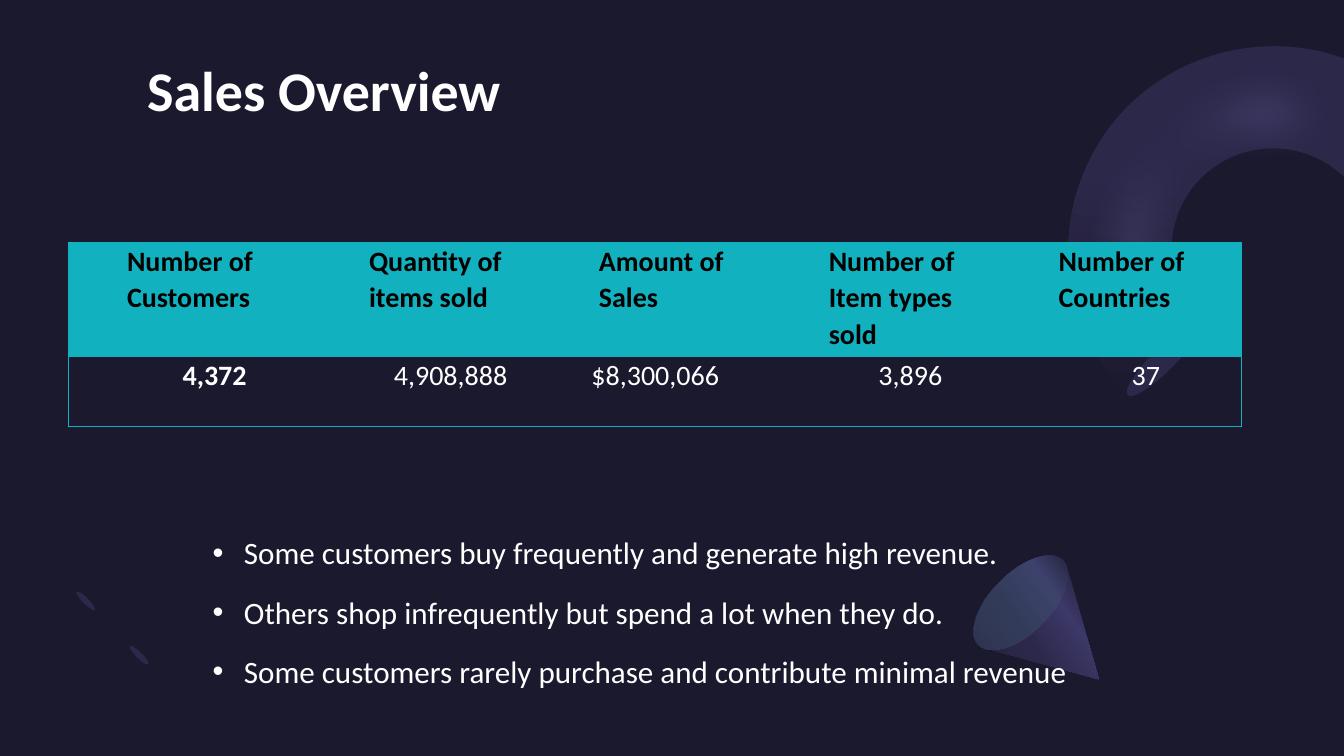
from math import cos, radians, sin

from pptx import Presentation
from pptx.dml.color import RGBColor
from pptx.enum.shapes import MSO_SHAPE
from pptx.enum.text import MSO_ANCHOR, PP_ALIGN
from pptx.oxml import parse_xml
from pptx.oxml.ns import nsdecls
from pptx.util import Inches, Pt

OVAL = MSO_SHAPE.OVAL
TOP = MSO_ANCHOR.TOP
LEFT, CENTER = PP_ALIGN.LEFT, PP_ALIGN.CENTER
NIGHT, PLUM, LILAC, TEAL = "1B192E", "2C284A", "7771B2", "12B1BF"
WHITE, BLACK = "FFFFFF", "000000"


def color_xml(color, alpha=100):
    return f'<a:srgbClr val="{color}"><a:alpha val="{alpha * 1000}"/></a:srgbClr>'


def add_run(paragraph, text, size, color, bold=False):
    run = paragraph.add_run()
    run.text = text
    run.font.name = "Calibri"
    run.font.size = Pt(size)
    run.font.bold = bold
    run.font.color.rgb = RGBColor.from_string(color)


prs = Presentation()
prs.slide_width, prs.slide_height = Inches(13.33), Inches(7.5)
slide = prs.slides.add_slide(prs.slide_layouts[6])
slide.background.fill.solid()
slide.background.fill.fore_color.rgb = RGBColor.from_string(NIGHT)

# Outlines on the slide: two numbers are a line end, six are a cubic curve
ring = [(11.19, 3.92), (10.4, 3.13, 10.4, 1.84, 11.19, 1.05),
        (11.74, 0.51, 12.52, 0.34, 13.21, 0.54), (13.33, 0.58), (13.33, 1.75),
        (13.19, 1.64), (12.79, 1.38, 12.26, 1.42, 11.91, 1.77),
        (11.52, 2.16, 11.52, 2.8, 11.91, 3.2)]
ring_glow = [(11.44, 4.18), (10.51, 3.26, 10.4, 1.87, 11.19, 1.07),
             (11.69, 0.58, 12.42, 0.44, 13.12, 0.62), (13.32, 0.69), (13.32, 1.82),
             (13.3, 1.82), (12.87, 1.57, 12.35, 1.59, 12.03, 1.91),
             (11.64, 2.31, 11.69, 3, 12.15, 3.47)]
cone = [(10.9, 6.74), (9.77, 6.43), (9.76, 6.43), (9.74, 6.42, 9.73, 6.41, 9.71, 6.39),
        (9.6, 6.28, 9.69, 6, 9.92, 5.77), (10.15, 5.54, 10.43, 5.44, 10.55, 5.56),
        (10.56, 5.57, 10.57, 5.59, 10.58, 5.61), (10.58, 5.62), (10.9, 6.74)]
small_arc = [(0.76, 6.59), (0.56, 6.39, 0.56, 6.07, 0.76, 5.87), (0.94, 6.05),
             (0.84, 6.15, 0.84, 6.31, 0.94, 6.41), (1.03, 6.51, 1.2, 6.51, 1.29, 6.41),
             (1.47, 6.59), (1.28, 6.79, 0.95, 6.79, 0.76, 6.59)]
small_glow = [(0.76, 6.59), (0.56, 6.39, 0.58, 6.05, 0.81, 5.82), (0.99, 6),
              (0.87, 6.11, 0.86, 6.29, 0.96, 6.38), (1.06, 6.48, 1.23, 6.47, 1.35, 6.36),
              (1.52, 6.54), (1.3, 6.76, 0.95, 6.79, 0.76, 6.59)]

# Decorations: outline, box, rotation, (stop, colour, opacity), angle, soft edge
plum = [(0, PLUM, 100)]
decorations = [
    (ring, (9.91, 0.82, 3.87, 2.03), 315, [(50, PLUM, 100), (97, NIGHT, 100)], 145, 0),
    (ring_glow, (10.04, 0.82, 3.8, 2.37), 315, [(0, LILAC, 40)], 0, 0.42),
    (None, (11.43, 3.05, 0.23, 1.02), 225, plum, 0, 0),
    (cone, (9.82, 5.57, 1.18, 1.38), 135,
     [(30, PLUM, 100), (40, "3C3867", 100), (60, PLUM, 100), (100, NIGHT, 100)], 10, 0),
    (None, (9.83, 5.39, 0.59, 1.18), 225, [(0, "454075", 33), (100, "5BEFC1", 0)], 90, 0),
    (small_arc, (0.43, 6.16, 1.01, 0.51), 45, [(0, NIGHT, 100)], 0, 0),
    (None, (1.35, 6.37, 0.06, 0.26), 135, plum, 0, 0),
    (None, (0.82, 5.83, 0.06, 0.26), 135, plum, 0, 0),
    (small_glow, (0.45, 6.09, 1.01, 0.58), 45, [(0, LILAC, 20)], 0, 0.12),
]
for outline, box, rotation, stops, angle, soft_edge in decorations:
    left, top, width, height = box
    if outline:
        # Turn the outline back into the upright box, then draw its curves
        turn_cos, turn_sin = cos(radians(rotation)), sin(radians(rotation))
        segments = []
        for segment in outline:
            segments.append([])
            for x, y in zip(segment[::2], segment[1::2]):
                dx, dy = x - left - width / 2, y - top - height / 2
                segments[-1].append((Inches(width / 2 + dx * turn_cos + dy * turn_sin),
                                     Inches(height / 2 - dx * turn_sin + dy * turn_cos)))
        builder = slide.shapes.build_freeform(*segments[0][0])
        builder.add_line_segments([segment[-1] for segment in segments[1:]])
        decoration = builder.convert_to_shape()
        decoration.left, decoration.top = Inches(left), Inches(top)
        decoration.width, decoration.height = Inches(width), Inches(height)
        steps = ""
        for number, segment in enumerate(segments):
            tag = "cubicBezTo" if len(segment) == 3 else "lnTo" if number else "moveTo"
            marks = "".join(f'<a:pt x="{x}" y="{y}"/>' for x, y in segment)
            steps += f"<a:{tag}>{marks}</a:{tag}>"
        drawn = decoration._element.spPr.find(".//{*}path")
        drawn.getparent().replace(drawn, parse_xml(
            f'<a:path {nsdecls("a")} w="{Inches(width)}" h="{Inches(height)}">'
            f'{steps}<a:close/></a:path>'))
    else:
        decoration = slide.shapes.add_shape(OVAL, *map(Inches, box))
    decoration.rotation = rotation
    decoration.line.fill.background()
    decoration.shadow.inherit = False
    decoration.fill.solid()
    if len(stops) == 1:
        fill = f'<a:solidFill {nsdecls("a")}>{color_xml(*stops[0][1:])}</a:solidFill>'
    else:
        marks = "".join(f'<a:gs pos="{pos * 1000}">{color_xml(color, alpha)}</a:gs>'
                        for pos, color, alpha in stops)
        fill = (f'<a:gradFill {nsdecls("a")} rotWithShape="1"><a:gsLst>{marks}</a:gsLst>'
                f'<a:lin ang="{angle * 60000}" scaled="0"/></a:gradFill>')
    properties = decoration._element.spPr
    properties.replace(properties.find("./{*}solidFill"), parse_xml(fill))
    if soft_edge:
        properties.find("./{*}effectLst").append(
            parse_xml(f'<a:softEdge {nsdecls("a")} rad="{Inches(soft_edge)}"/>'))

# Title and findings
title_lines = ["Sales Overview"]
findings = ["Some customers buy frequently and generate high revenue.",
            "Others shop infrequently but spend a lot when they do.",
            "Some customers rarely purchase and contribute minimal revenue"]
for box, lines, size, bold, spacing, bulleted in [
        ((1.46, 0.63, 9.7, 0.99), title_lines, 40, True, 0.9, False),
        ((1.61, 5.26, 9.55, 1.82), findings, 22.2, False, 1.1, True)]:
    frame = slide.shapes.add_textbox(*map(Inches, box)).text_frame
    frame.word_wrap = True
    frame.vertical_anchor = TOP
    frame.margin_left = frame.margin_right = frame.margin_top = frame.margin_bottom = 0
    for number, line in enumerate(lines):
        paragraph = frame.add_paragraph() if number else frame.paragraphs[0]
        paragraph.line_spacing = spacing
        add_run(paragraph, line, size, WHITE, bold)
        if bulleted:
            paragraph.space_before, paragraph.space_after = Pt(5), Pt(8)
            layout = paragraph._p.get_or_add_pPr()
            layout.set("marL", str(Inches(0.81)))
            layout.set("indent", str(Inches(-0.31)))
            layout.append(parse_xml(f'<a:buFont {nsdecls("a")} typeface="Arial"/>'))
            layout.append(parse_xml(f'<a:buChar {nsdecls("a")} char="•"/>'))

# Sales table
sales = [
    [["Number of", "Customers"], ["Quantity of items sold"], ["Amount of Sales"],
     ["Number of Item types sold"], ["Number of Countries"]],
    [["4,372"], ["4,908,888"], ["$8,300,066"], ["3,896"], ["37"]],
]
column_widths = [2.4, 2.28, 2.28, 2.28, 2.39]
row_heights = [1.14, 0.69]
table = slide.shapes.add_table(2, 5, Inches(0.68), Inches(2.4),
                               Inches(11.63), Inches(1.83)).table
NO_STYLE = "{2D5ABB26-0587-4C30-8999-92F81FD0307C}"
table._tbl.tblPr.find("./{*}tableStyleId").text = NO_STYLE
table.horz_banding = False
for column, width in zip(table.columns, column_widths):
    column.width = Inches(width)
for row, height in zip(table.rows, row_heights):
    row.height = Inches(height)

for r, values in enumerate(sales):
    for c, lines in enumerate(values):
        cell = table.cell(r, c)
        cell.margin_left = cell.margin_right = Inches(0.08)
        cell.margin_top = cell.margin_bottom = 0
        cell.vertical_anchor = TOP
        borders = {"lnL": c == 0, "lnR": c == 4, "lnT": True, "lnB": r == 1}
        for side, shown in borders.items():
            if shown:
                cell._tc.get_or_add_tcPr().append(parse_xml(
                    f'<a:{side} {nsdecls("a")} w="{Pt(0.5)}"><a:solidFill>'
                    f'{color_xml(TEAL)}</a:solidFill></a:{side}>'))
        if r == 0:
            cell.fill.solid()
            cell.fill.fore_color.rgb = RGBColor.from_string(TEAL)
        else:
            cell.fill.background()
        for number, line in enumerate(lines):
            paragraph = (cell.text_frame.add_paragraph() if number
                         else cell.text_frame.paragraphs[0])
            paragraph.alignment = CENTER if r else LEFT
            paragraph.line_spacing = 1.07
            if (r, c) != (1, 2):
                paragraph._p.get_or_add_pPr().set("marL", str(Inches(0.5)))
            add_run(paragraph, line, 20, WHITE if r else BLACK, r == 0 or c == 0)

prs.save("out.pptx")
